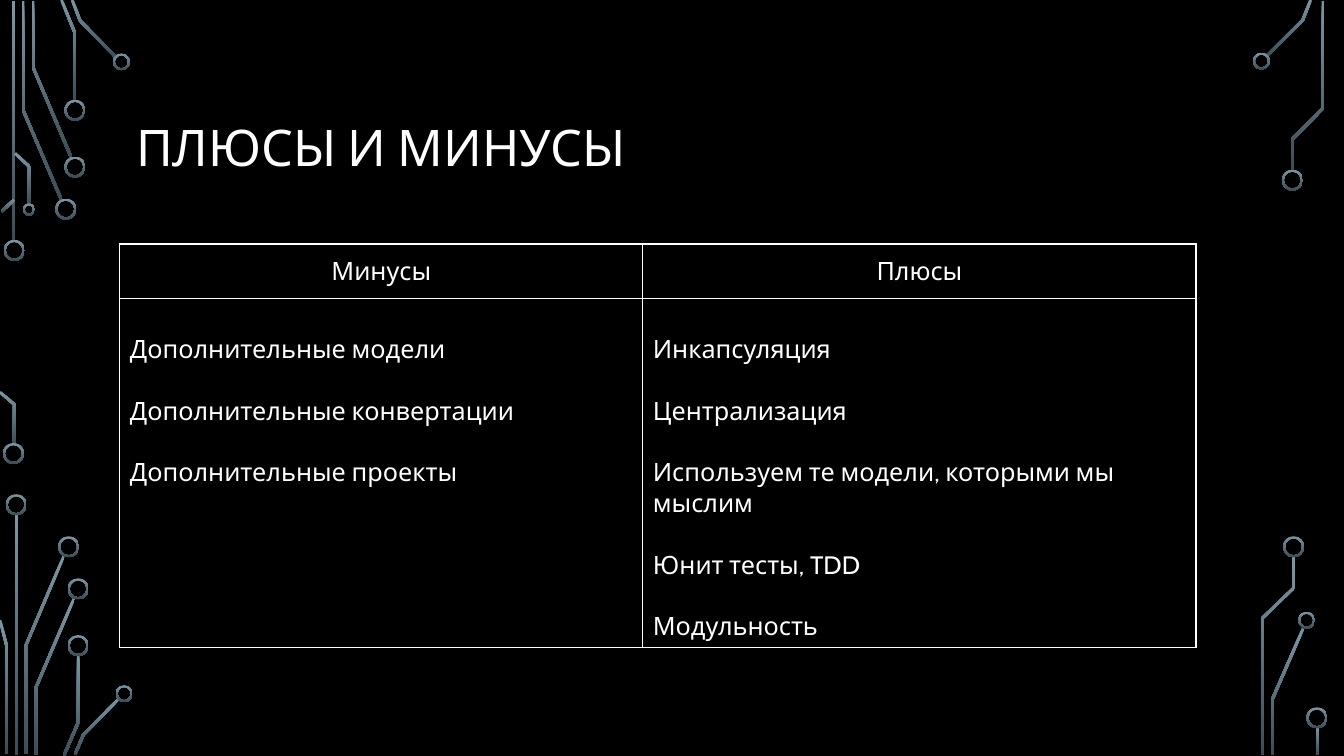
from math import hypot

from lxml import etree
from pptx import Presentation
from pptx.dml.color import RGBColor
from pptx.enum.shapes import MSO_SHAPE
from pptx.enum.text import MSO_ANCHOR, PP_ALIGN
from pptx.oxml.ns import qn
from pptx.util import Cm, Pt

DONUT = MSO_SHAPE.DONUT
MIDDLE, TOP = MSO_ANCHOR.MIDDLE, MSO_ANCHOR.TOP
CENTER, LEFT = PP_ALIGN.CENTER, PP_ALIGN.LEFT

BLACK = RGBColor(0x00, 0x00, 0x00)
WHITE = RGBColor(0xFF, 0xFF, 0xFF)
TRACE_TOP = RGBColor(0x7C, 0x96, 0xA3)
TRACE_BOTTOM = RGBColor(0x3B, 0x4C, 0x54)
FONT = "Cabin"

TITLE = "ПЛЮСЫ И МИНУСЫ"
COLUMNS = [
    ("Минусы", 13.18, ["Дополнительные модели", "Дополнительные конвертации",
                       "Дополнительные проекты"]),
    ("Плюсы", 13.94, ["Инкапсуляция", "Централизация",
                      "Используем те модели, которыми мы мыслим",
                      "Юнит тесты, TDD", "Модульность"]),
]
HEADER_HEIGHT, BODY_HEIGHT = 1.37, 8.79
ITEM_GAP = Pt(22)
CELL_INSET = Cm(0.13)

# Centre lines of the circuit traces, in cm
TRACE_WIDTH = 0.07
TRACES = [
    [(0.34, 0.03), (0.34, 6.1)],
    [(0.58, 0.03), (0.58, 2.77), (1.55, 5.04)],
    [(0.83, 0.03), (0.83, 1.69), (1.8, 3.98)],
    [(1.55, 0), (1.89, 0.84), (1.89, 2.54)],
    [(1.82, 0), (2.02, 0.52), (2.93, 1.45)],
    [(0.04, 5.33), (0.36, 5.03)],
    [(0, 9.88), (0.36, 10.19), (0.36, 11.2)],
    [(0.38, 3.86), (0.74, 4.2), (0.74, 5.16)],
    [(0.42, 12.95), (0.42, 19.02)],
    [(0.65, 19), (0.65, 16.27), (1.61, 14.01)],
    [(0, 15.63), (0.17, 16.28), (0.17, 19)],
    [(0.9, 19.02), (0.9, 17.34), (1.87, 15.07)],
    [(1.61, 19.04), (1.97, 18.21), (1.97, 16.51)],
    [(1.89, 19.01), (2.1, 18.52), (3, 17.6)],
    [(31.93, 1.41), (32.83, 0.51), (33.03, 0)],
    [(32.07, 19.02), (32.07, 17.61), (32.84, 15.84)],
    [(32.56, 4.29), (32.56, 3.52), (33.34, 2.73), (33.34, 0.03)],
    [(31.81, 19.02), (31.81, 15.58), (32.6, 14.82), (32.6, 14.02)],
    [(33.21, 18.31), (33.21, 19.02)],
]

# Ring centres by outer diameter, in cm
RING_WALL = 0.05
RINGS = {
    0.53: [(0.36, 6.31), (0.34, 11.43), (1.66, 5.27), (1.89, 4.21),
           (1.89, 2.78), (0.41, 12.72), (1.73, 13.78), (1.97, 14.84),
           (1.97, 16.27), (32.57, 4.54), (32.6, 13.78), (33.19, 18.09)],
    0.43: [(3.06, 1.56), (3.13, 17.48), (31.79, 1.54), (32.93, 15.63)],
    0.31: [(0.73, 5.28)],
}


def paint(shape):
    """Give a circuit part its vertical gradient, without line or shadow."""
    shape.shadow.inherit = False
    shape.line.fill.background()
    shape.fill.gradient()
    shape.fill.gradient_angle = 270
    for stop, color in zip(shape.fill.gradient_stops, (TRACE_TOP, TRACE_BOTTOM)):
        stop.color.rgb = color


def strip_outline(points):
    """Return the outline of a strip with mitred corners along a centre line."""
    normals = []
    for (x1, y1), (x2, y2) in zip(points, points[1:]):
        length = hypot(x2 - x1, y2 - y1)
        normals.append(((y1 - y2) / length, (x2 - x1) / length))
    left, right = [], []
    for (x, y), a, b in zip(points, normals[:1] + normals, normals + normals[-1:]):
        k = TRACE_WIDTH / 2 / (1 + a[0] * b[0] + a[1] * b[1])
        dx, dy = k * (a[0] + b[0]), k * (a[1] + b[1])
        left.append((Cm(x + dx), Cm(y + dy)))
        right.append((Cm(x - dx), Cm(y - dy)))
    return left + right[::-1]


def add_circuit(s):
    """Draw all traces and rings."""
    for points in TRACES:
        outline = strip_outline(points)
        builder = s.shapes.build_freeform(*outline[0])
        builder.add_line_segments(outline[1:], close=True)
        paint(builder.convert_to_shape())
    for size, centres in RINGS.items():
        for x, y in centres:
            ring = s.shapes.add_shape(DONUT, Cm(x - size / 2), Cm(y - size / 2),
                                      Cm(size), Cm(size))
            ring.adjustments[0] = RING_WALL / size
            paint(ring)


def write(tf, lines, size, **paragraph_format):
    """Write one paragraph per line in the slide font."""
    for i, text in enumerate(lines):
        p = tf.add_paragraph() if i else tf.paragraphs[0]
        for name, value in paragraph_format.items():
            setattr(p, name, value)
        r = p.add_run()
        r.text = text
        for name, value in {"name": FONT, "size": Pt(size), "bold": False}.items():
            setattr(r.font, name, value)
        r.font.color.rgb = WHITE


def style_cell(cell, anchor, margin_top):
    """Set a cell's anchor and margin, clear its fill and draw its borders."""
    cell.vertical_anchor = anchor
    cell.margin_top = margin_top
    cell.margin_bottom = CELL_INSET
    cell.fill.background()
    tc_pr = cell._tc.get_or_add_tcPr()
    for i, side in enumerate(("lnL", "lnR", "lnT", "lnB")):
        ln = etree.Element(qn("a:" + side), w=str(Pt(1)))
        fill = etree.SubElement(ln, qn("a:solidFill"))
        etree.SubElement(fill, qn("a:srgbClr"), val=str(WHITE))
        tc_pr.insert(i, ln)


def add_comparison(s):
    """Add the table with one column per side of the comparison."""
    width = sum(column[1] for column in COLUMNS)
    table = s.shapes.add_table(2, len(COLUMNS), Cm(3.02), Cm(6.15), Cm(width),
                               Cm(HEADER_HEIGHT + BODY_HEIGHT)).table
    table.first_row = table.horz_banding = False
    for row, height in zip(table.rows, (HEADER_HEIGHT, BODY_HEIGHT)):
        row.height = Cm(height)
    for i, (heading, column_width, items) in enumerate(COLUMNS):
        table.columns[i].width = Cm(column_width)
        header, body = table.cell(0, i), table.cell(1, i)
        style_cell(header, MIDDLE, CELL_INSET)
        style_cell(body, TOP, CELL_INSET + ITEM_GAP)
        write(header.text_frame, [heading], 18, alignment=CENTER)
        write(body.text_frame, items[:1], 18, alignment=LEFT)
        for item in items[1:]:
            p = body.text_frame.add_paragraph()
            p.space_before = ITEM_GAP
            r = p.add_run()
            r.text = item
            r.font.name, r.font.size = FONT, Pt(18)
            r.font.color.rgb = WHITE


def add_title(s):
    """Add the slide title."""
    tf = s.shapes.add_textbox(Cm(3.18), Cm(1.73), Cm(27.51), Cm(4.11)).text_frame
    tf.word_wrap = True
    tf.vertical_anchor = MIDDLE
    write(tf, [TITLE], 36, line_spacing=0.9)


prs = Presentation()
prs.slide_width, prs.slide_height = Cm(33.87), Cm(19.05)
s = prs.slides.add_slide(prs.slide_layouts[6])
s.background.fill.solid()
s.background.fill.fore_color.rgb = BLACK
add_circuit(s)
add_comparison(s)
add_title(s)
prs.save("out.pptx")
